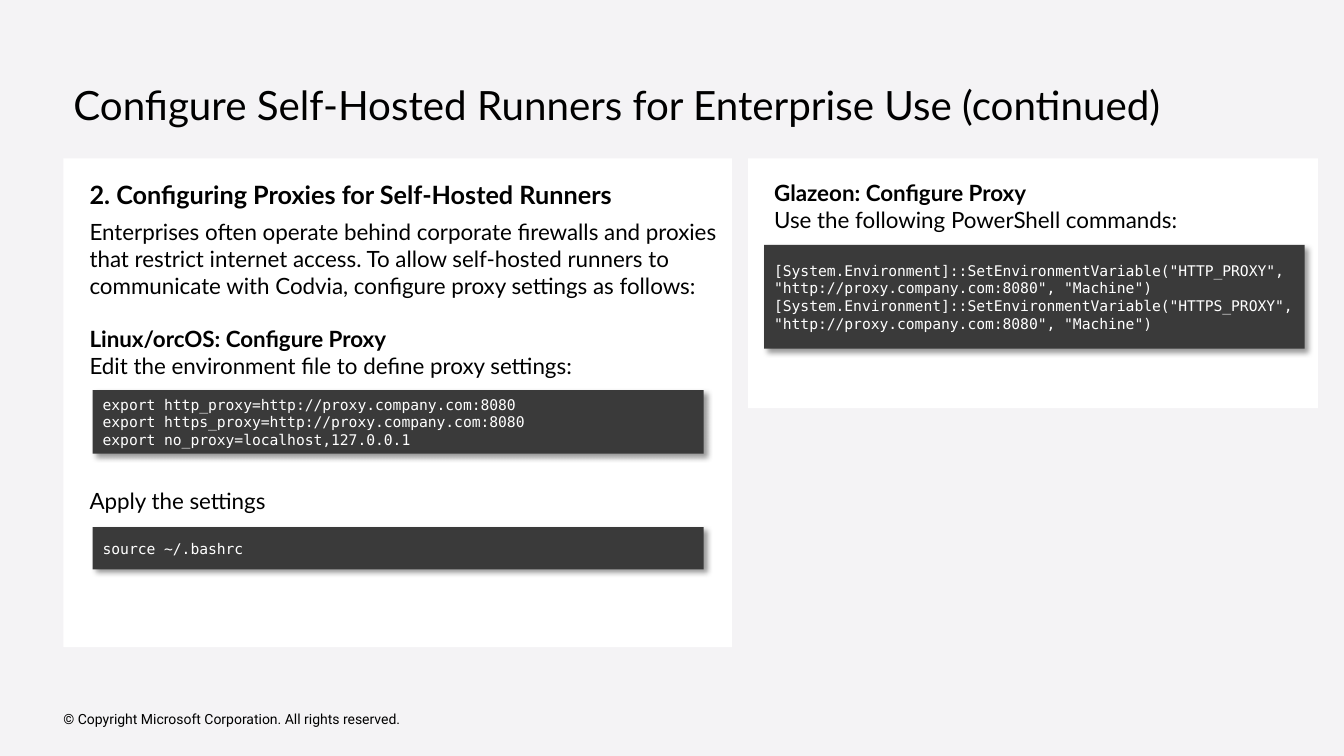
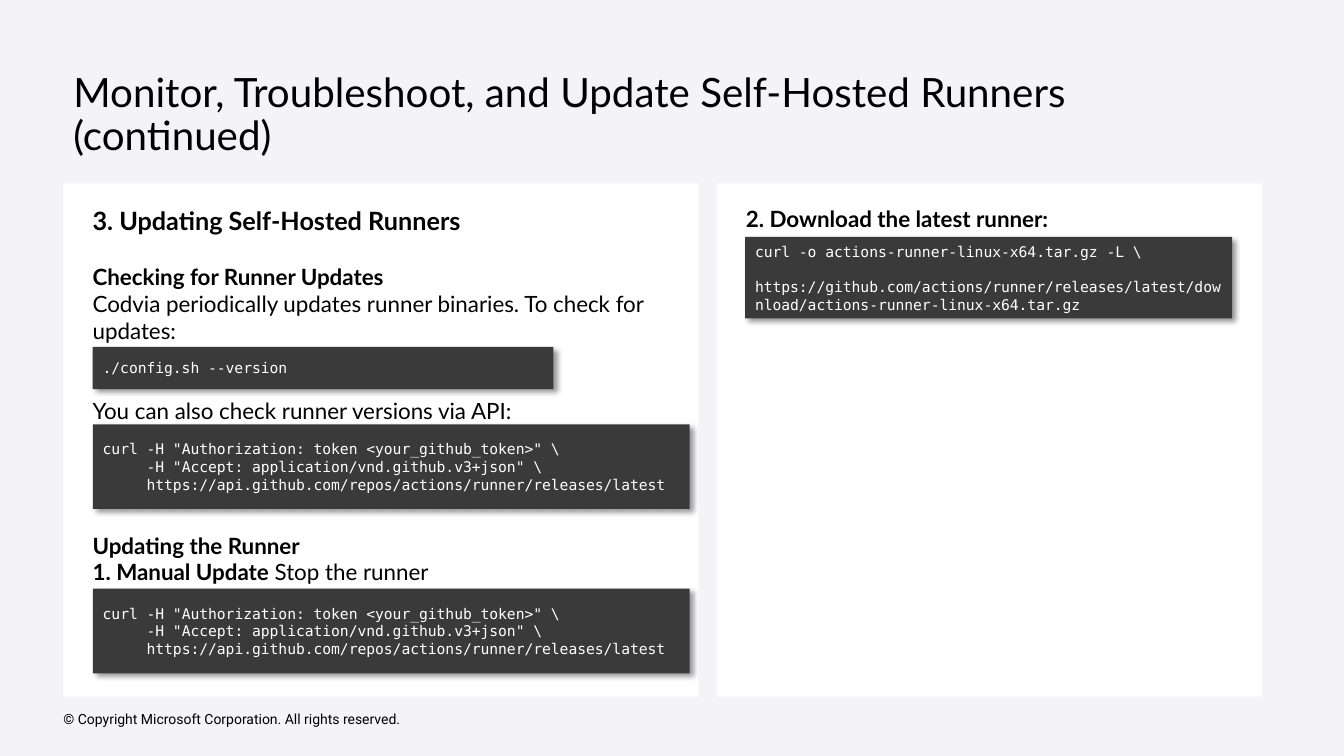
from dataclasses import dataclass

from lxml.etree import SubElement
from pptx import Presentation
from pptx.dml.color import RGBColor
from pptx.enum.shapes import MSO_SHAPE
from pptx.enum.text import MSO_ANCHOR, PP_ALIGN
from pptx.oxml.ns import qn
from pptx.shapes.autoshape import Shape
from pptx.slide import Slide
from pptx.text.text import TextFrame
from pptx.util import Inches, Pt


@dataclass(frozen=True)
class Theme:
    backdrop: RGBColor = RGBColor(0xF4, 0xF3, 0xF5)
    panel: RGBColor = RGBColor(0xFF, 0xFF, 0xFF)
    code_fill: RGBColor = RGBColor(0x3A, 0x3A, 0x3A)
    code_ink: RGBColor = RGBColor(0xFF, 0xFF, 0xFF)
    ink: RGBColor = RGBColor(0, 0, 0)
    shadow: str = "000000"
    text_font: str = "Lato"
    code_font: str = "DejaVu Sans Mono"
    footer_font: str = "Roboto"
    title_size: float = 28.8
    heading_size: float = 18
    body_size: float = 16
    code_size: float = 10.5
    footer_size: float = 10


THEME = Theme()
LINE = THEME.body_size * 1.2
MARGIN = 0.63
FOOTER = "© Copyright Microsoft Corporation. All rights reserved."


@dataclass(frozen=True)
class Line:
    text: str = ""
    lead: str = ""
    size: float = THEME.body_size
    lines_before: int = 0
    after: float = 0


@dataclass(frozen=True)
class Passage:
    top: float
    height: float
    lines: tuple[Line, ...]


@dataclass(frozen=True)
class Code:
    left: float
    top: float
    width: float
    height: float
    lines: tuple[str, ...]


@dataclass(frozen=True)
class Panel:
    left: float
    width: float
    passages: tuple[Passage, ...]
    codes: tuple[Code, ...]


@dataclass(frozen=True)
class Page:
    title: str
    title_top: float
    panel_top: float
    panel_heights: tuple[float, ...]
    text_inset: float
    panels: tuple[Panel, ...]


RELEASES_REQUEST = (
    'curl -H "Authorization: token <your_github_token>" \\',
    '     -H "Accept: application/vnd.github.v3+json" \\',
    "     https://api.github.com/repos/actions/runner/releases/latest",
)

PAGES = (
    Page(
        "Configure Self-Hosted Runners for Enterprise Use (continued)",
        0.57, 1.57, (4.85, 2.48), 0.16,
        (
            Panel(
                MARGIN, 6.63,
                (
                    Passage(1.73, 3.45, (
                        Line(lead="2. Configuring Proxies for Self-Hosted Runners",
                             size=THEME.heading_size, after=6),
                        Line("Enterprises often operate behind corporate firewalls and proxies "
                             "that restrict internet access. To allow self-hosted runners to "
                             "communicate with Codvia, configure proxy settings as follows:"),
                        Line(lead="Linux/orcOS: Configure Proxy", lines_before=1),
                        Line("Edit the environment file to define proxy settings:"),
                        Line("Apply the settings", lines_before=4),
                    )),
                ),
                (
                    Code(0.92, 3.87, 6.06, 0.63, (
                        "export http_proxy=http://proxy.company.com:8080",
                        "export https_proxy=http://proxy.company.com:8080",
                        "export no_proxy=localhost,127.0.0.1",
                    )),
                    Code(0.92, 5.23, 6.06, 0.42, ("source ~/.bashrc",)),
                ),
            ),
            Panel(
                7.42, 5.65,
                (
                    Passage(1.73, 0.63, (
                        Line(lead="Glazeon: Configure Proxy"),
                        Line("Use the following PowerShell commands:"),
                    )),
                ),
                (
                    Code(7.58, 2.43, 5.36, 1.03, tuple(
                        f'[System.Environment]::SetEnvironmentVariable("{variable}", '
                        '"http://proxy.company.com:8080", "Machine")'
                        for variable in ("HTTP_PROXY", "HTTPS_PROXY")
                    )),
                ),
            ),
        ),
    ),
    Page(
        "Monitor, Troubleshoot, and Update Self-Hosted Runners (continued)",
        0.65, 1.82, (5.09, 5.09), 0.19,
        (
            Panel(
                MARGIN, 6.3,
                (
                    Passage(1.99, 0.4, (
                        Line(lead="3. Updating Self-Hosted Runners", size=THEME.heading_size),
                    )),
                    Passage(2.56, 3.3, (
                        Line(lead="Checking for Runner Updates"),
                        Line("Codvia periodically updates runner binaries. "
                             "To check for updates:"),
                        Line("You can also check runner versions via API:", lines_before=2),
                        Line(lead="Updating the Runner", lines_before=4),
                        Line(" Stop the runner", lead="1. Manual Update"),
                    )),
                ),
                (
                    Code(0.92, 3.44, 4.57, 0.42, ("./config.sh --version",)),
                    Code(0.92, 4.21, 5.92, 0.84, RELEASES_REQUEST),
                    Code(0.92, 5.84, 5.92, 0.84, RELEASES_REQUEST),
                ),
            ),
            Panel(
                7.11, 5.41,
                (Passage(1.99, 0.37, (Line(lead="2. Download the latest runner:"),)),),
                (
                    Code(7.39, 2.35, 4.83, 0.81, (
                        "curl -o actions-runner-linux-x64.tar.gz -L \\",
                        "     https://github.com/actions/runner/releases/latest/download/"
                        "actions-runner-linux-x64.tar.gz",
                    )),
                ),
            ),
        ),
    ),
)


def write_lines(frame: TextFrame, lines: tuple[Line, ...], font_name: str,
                color: RGBColor, spacing: float = 1.0) -> None:
    for index, line in enumerate(lines):
        paragraph = frame.paragraphs[0] if index == 0 else frame.add_paragraph()
        layout = {
            "alignment": PP_ALIGN.LEFT,
            "line_spacing": spacing,
            "space_before": Pt(line.lines_before * LINE),
            "space_after": Pt(line.after),
        }
        for name, value in layout.items():
            setattr(paragraph, name, value)
        for words, bold in ((line.lead, True), (line.text, False)):
            if not words:
                continue
            run = paragraph.add_run()
            run.text = words
            look = {"name": font_name, "size": Pt(line.size), "bold": bold}
            for name, value in look.items():
                setattr(run.font, name, value)
            run.font.color.rgb = color


def add_text(slide: Slide, left: float, top: float, width: float, height: float,
             anchor: MSO_ANCHOR = MSO_ANCHOR.TOP) -> TextFrame:
    frame = slide.shapes.add_textbox(
        Inches(left), Inches(top), Inches(width), Inches(height)).text_frame
    for name, value in {"word_wrap": True, "vertical_anchor": anchor}.items():
        setattr(frame, name, value)
    return frame


def add_block(slide: Slide, left: float, top: float, width: float, height: float,
              fill: RGBColor) -> Shape:
    block = slide.shapes.add_shape(
        MSO_SHAPE.RECTANGLE, Inches(left), Inches(top), Inches(width), Inches(height))
    block.shadow.inherit = False
    block.fill.solid()
    block.fill.fore_color.rgb = fill
    block.line.fill.background()
    return block


def cast_shadow(block: Shape) -> None:
    effects = block.element.spPr.find(qn("a:effectLst"))
    shadow = SubElement(effects, qn("a:outerShdw"), {
        "blurRad": str(Pt(4)), "dist": str(Pt(3)), "dir": str(45 * 60000),
        "algn": "tl", "rotWithShape": "0",
    })
    color = SubElement(shadow, qn("a:srgbClr"), val=THEME.shadow)
    SubElement(color, qn("a:alpha"), val="40000")


def add_code(slide: Slide, code: Code) -> None:
    block = add_block(slide, code.left, code.top, code.width, code.height, THEME.code_fill)
    cast_shadow(block)
    frame = block.text_frame
    for name, value in {"word_wrap": True, "vertical_anchor": MSO_ANCHOR.MIDDLE}.items():
        setattr(frame, name, value)
    lines = tuple(Line(text, size=THEME.code_size) for text in code.lines)
    write_lines(frame, lines, THEME.code_font, THEME.code_ink)


def add_title(slide: Slide, page: Page) -> None:
    frame = add_text(slide, MARGIN, page.title_top, 11.37, 1, MSO_ANCHOR.MIDDLE)
    write_lines(frame, (Line(page.title, size=THEME.title_size),),
                THEME.text_font, THEME.ink, 0.9)


def add_footer(slide: Slide) -> None:
    frame = add_text(slide, MARGIN, 7.02, 4.54, 0.22, MSO_ANCHOR.MIDDLE)
    for side in ("left", "top", "right", "bottom"):
        setattr(frame, f"margin_{side}", Inches(0))
    write_lines(frame, (Line(FOOTER, size=THEME.footer_size),),
                THEME.footer_font, THEME.ink)


def add_panel(slide: Slide, page: Page, panel: Panel, height: float) -> None:
    add_block(slide, panel.left, page.panel_top, panel.width, height, THEME.panel)
    for passage in panel.passages:
        frame = add_text(slide, panel.left + page.text_inset, passage.top,
                         panel.width - page.text_inset, passage.height)
        write_lines(frame, passage.lines, THEME.text_font, THEME.ink)
    for code in panel.codes:
        add_code(slide, code)


def main() -> None:
    deck = Presentation()
    deck.slide_width, deck.slide_height = Inches(13.33), Inches(7.5)
    backdrop = deck.slide_master.background.fill
    backdrop.solid()
    backdrop.fore_color.rgb = THEME.backdrop
    for page in PAGES:
        slide = deck.slides.add_slide(deck.slide_layouts[6])
        add_title(slide, page)
        add_footer(slide)
        for panel, height in zip(page.panels, page.panel_heights):
            add_panel(slide, page, panel, height)
    deck.save("out.pptx")


if __name__ == "__main__":
    main()
